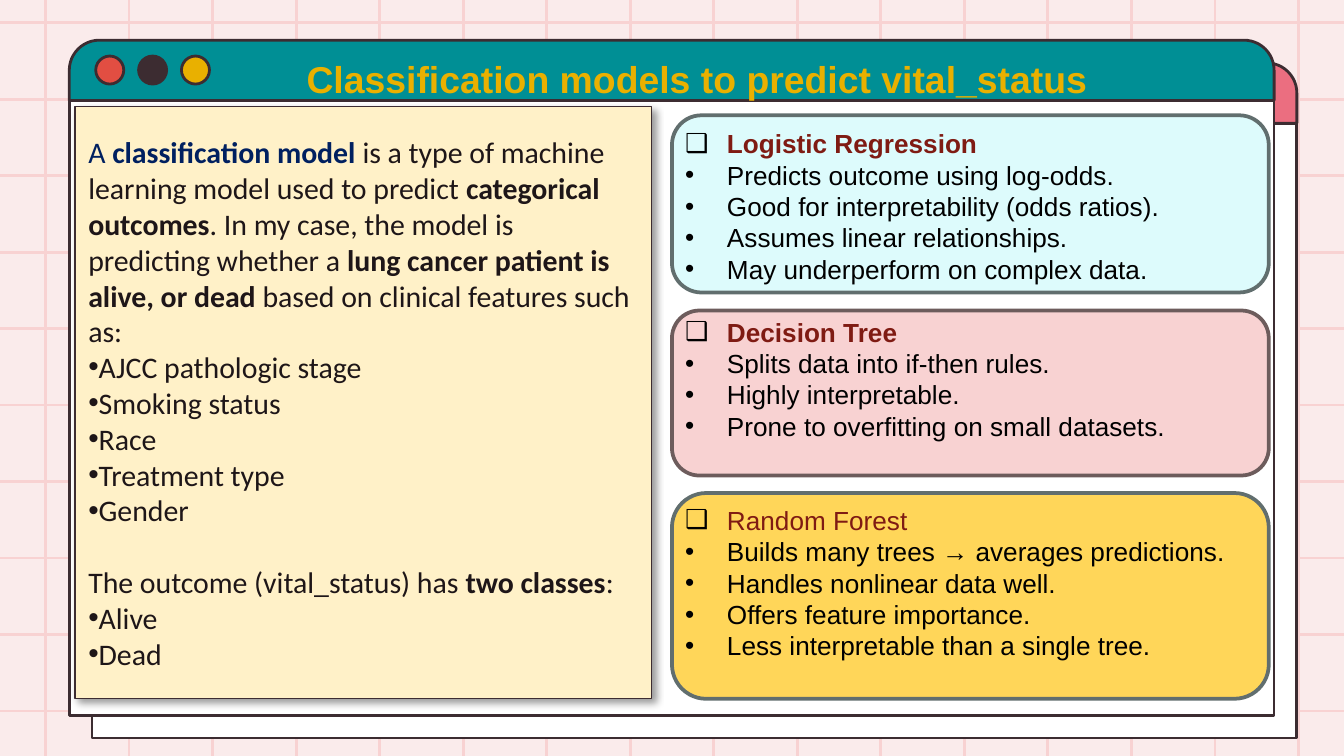
from dataclasses import dataclass

from lxml import etree
from pptx import Presentation
from pptx import util as u
from pptx.dml.color import RGBColor
from pptx.enum import shapes, text
from pptx.oxml.ns import qn


@dataclass(frozen=True)
class Theme:
    paper: str = "FAEBEB"
    grid: str = "F8D2D2"
    white: str = "FFFFFF"
    black: str = "000000"
    outline: str = "3C2C31"
    teal: str = "008F95"
    pink: str = "EB6E80"
    red: str = "E24E42"
    gold: str = "E9B000"
    cream: str = "FFF1C8"
    body: str = "1E1618"
    navy: str = "002060"
    maroon: str = "7F1B13"
    title_size: float = 20
    intro_size: float = 16
    list_size: float = 14
    intro_line: float = 19.2
    list_line: float = 16.8


THEME = Theme()
KINDS = shapes.MSO_SHAPE

# Each card: left, top, width, height (cm), fill, outline
CARDS = [
    ((12.7, 9.32, 11.28, 3.89), "FFD659", "616E6E"),
    ((12.7, 5.87, 11.28, 3.12), "F8D2D2", "6D5C5C"),
    ((12.7, 2.18, 11.28, 3.35), "DDFBFC", "616E6E"),
]

# Each model: name, bold heading, blank lines above it, points
MODELS = [
    ("Logistic Regression", True, 0, [
        "Predicts outcome using log-odds.",
        "Good for interpretability (odds ratios).",
        "Assumes linear relationships.",
        "May underperform on complex data."]),
    ("Decision Tree", True, 1, [
        "Splits data into if-then rules.",
        "Highly interpretable.",
        "Prone to overfitting on small datasets."]),
    ("Random Forest", False, 2, [
        "Builds many trees → averages predictions.",
        "Handles nonlinear data well.",
        "Offers feature importance.",
        "Less interpretable than a single tree."]),
]

# Runs: words, bold, colour
DEFINITION = [
    ("A ", False, THEME.navy),
    ("classification model ", True, THEME.navy),
    ("is a type of machine learning model used to predict ", False, THEME.body),
    ("categorical outcomes", True, THEME.body),
    (". In my case, the model is predicting whether a ", False, THEME.body),
    ("lung cancer patient is alive, or dead", True, THEME.body),
    (" based on clinical features such as:", False, THEME.body),
]
FEATURES = ["AJCC pathologic stage", "Smoking status", "Race", "Treatment type", "Gender"]
OUTCOME = [
    ("The outcome (vital_status) has ", False, THEME.body),
    ("two classes", True, THEME.body),
    (":", False, THEME.body),
]
CLASSES = ["Alive", "Dead"]


def rgb(value):
    return RGBColor.from_string(value)


def add_block(page, kind, box, fill, line, width):
    shape = page.shapes.add_shape(kind, *map(u.Cm, box))
    shape.shadow.inherit = False
    shape.fill.solid()
    shape.fill.fore_color.rgb = rgb(fill)
    shape.line.color.rgb = rgb(line)
    shape.line.width = u.Pt(width)
    return shape


def add_text_box(page, box):
    frame = page.shapes.add_textbox(*map(u.Cm, box)).text_frame
    frame.word_wrap = True
    return frame


def add_para(frame, runs, font, size, line=None, before=0, bullet=None, indent=0):
    """Fill the first empty paragraph, or append one, with (words, bold, colour) runs."""
    para = frame.paragraphs[0]
    if para.runs:
        para = frame.add_paragraph()
    para.alignment = text.PP_ALIGN.LEFT
    if line:
        para.line_spacing = u.Pt(line)
        para.space_before = u.Pt(before)
    if bullet:
        props = para._p.get_or_add_pPr()
        props.set("marL", str(u.Cm(indent)))
        props.set("indent", str(-u.Cm(indent)))
        colour = etree.SubElement(props, qn("a:buClr"))
        etree.SubElement(colour, qn("a:srgbClr"), val=runs[0][2] if not indent else THEME.black)
        etree.SubElement(props, qn("a:buFont"), typeface="Arial")
        etree.SubElement(props, qn("a:buChar"), char=bullet)
    for words, bold, colour in runs:
        span = para.add_run()
        span.text = words
        span.font.name = font
        span.font.size = u.Pt(size)
        span.font.bold = bold
        span.font.color.rgb = rgb(colour)
    return para


def add_grid(page, box):
    left, top, width, height = box
    columns, rows = 16, 10
    across = (24.54 - 0.86) / (columns - 1)
    down = (13.44 - 0.43) / (rows - 1)
    ends = [(left + 0.86 + i * across, top, left + 0.86 + i * across, top + height)
            for i in range(columns)]
    ends += [(left, top + 0.43 + i * down, left + width, top + 0.43 + i * down)
             for i in range(rows)]
    for points in ends:
        line = page.shapes.add_connector(shapes.MSO_CONNECTOR.STRAIGHT, *map(u.Cm, points))
        line.line.color.rgb = rgb(THEME.grid)
        line.line.width = u.Pt(1.5)
        etree.SubElement(line._element.spPr, qn("a:effectLst"))


def add_window(page, box, bar_fill, buttons=()):
    left, top, width, height = box
    bar = 1.14
    add_block(page, KINDS.RECTANGLE, (left, top + bar, width, height - bar),
              THEME.white, THEME.outline, 1.5)
    header = add_block(page, KINDS.ROUND_2_SAME_RECTANGLE, (left, top, width, bar),
                       bar_fill, THEME.outline, 1.5)
    header.adjustments[0] = 0.5
    for i, fill in enumerate(buttons):
        add_block(page, KINDS.OVAL, (left + 0.5 + i * 0.81, top + 0.3, 0.53, 0.53),
                  fill, THEME.outline, 1.5)


def add_title(page, box):
    frame = add_text_box(page, box)
    frame.margin_top = frame.margin_bottom = u.Cm(0.25)
    para = add_para(frame, [("Classification models to predict vital_status", True, THEME.gold)],
                    "Arial", THEME.title_size)
    para.alignment = text.PP_ALIGN.CENTER


def add_intro(page, box):
    panel = add_block(page, KINDS.RECTANGLE, box, THEME.cream, THEME.outline, 0.75)
    effects = panel._element.spPr.find(qn("a:effectLst"))
    shadow = etree.SubElement(effects, qn("a:outerShdw"), blurRad=str(u.Pt(4)),
                              dist=str(u.Pt(3)), dir="2700000", algn="tl", rotWithShape="0")
    colour = etree.SubElement(shadow, qn("a:srgbClr"), val=THEME.black)
    etree.SubElement(colour, qn("a:alpha"), val="40000")

    frame = panel.text_frame
    frame.word_wrap = True
    frame.vertical_anchor = text.MSO_ANCHOR.MIDDLE
    style = ("Calibri", THEME.intro_size, THEME.intro_line)
    for runs, items, before in [(DEFINITION, FEATURES, 0),
                                (OUTCOME, CLASSES, THEME.intro_line)]:
        add_para(frame, runs, *style, before=before)
        for item in items:
            add_para(frame, [(item, False, THEME.body)], *style, bullet="•")


def add_models(page, box):
    frame = add_text_box(page, box)
    style = ("Arial", THEME.list_size, THEME.list_line)
    for name, bold, blanks, points in MODELS:
        add_para(frame, [(name, bold, THEME.maroon)], *style,
                 before=blanks * THEME.list_line, bullet="❑", indent=0.79)
        for point in points:
            add_para(frame, [(point, False, THEME.black)], *style, bullet="•", indent=0.79)


def main():
    deck = Presentation()
    deck.slide_width, deck.slide_height = u.Cm(25.4), u.Cm(14.29)
    page = deck.slides.add_slide(deck.slide_layouts[6])
    page.background.fill.solid()
    page.background.fill.fore_color.rgb = rgb(THEME.paper)

    add_grid(page, (0, 0, 25.4, 14.29))
    add_window(page, (1.74, 1.19, 22.77, 12.76), THEME.pink)
    add_window(page, (1.31, 0.76, 22.77, 12.76), THEME.teal,
               (THEME.red, THEME.outline, THEME.gold))
    for box, fill, line in CARDS:
        add_block(page, KINDS.ROUNDED_RECTANGLE, box, fill, line, 2)
    add_title(page, (2.97, 0.81, 20.42, 1.6))
    add_intro(page, (1.42, 2.01, 10.9, 11.2))
    add_models(page, (12.7, 2.29, 11.76, 11.02))
    deck.save("out.pptx")


if __name__ == "__main__":
    main()
